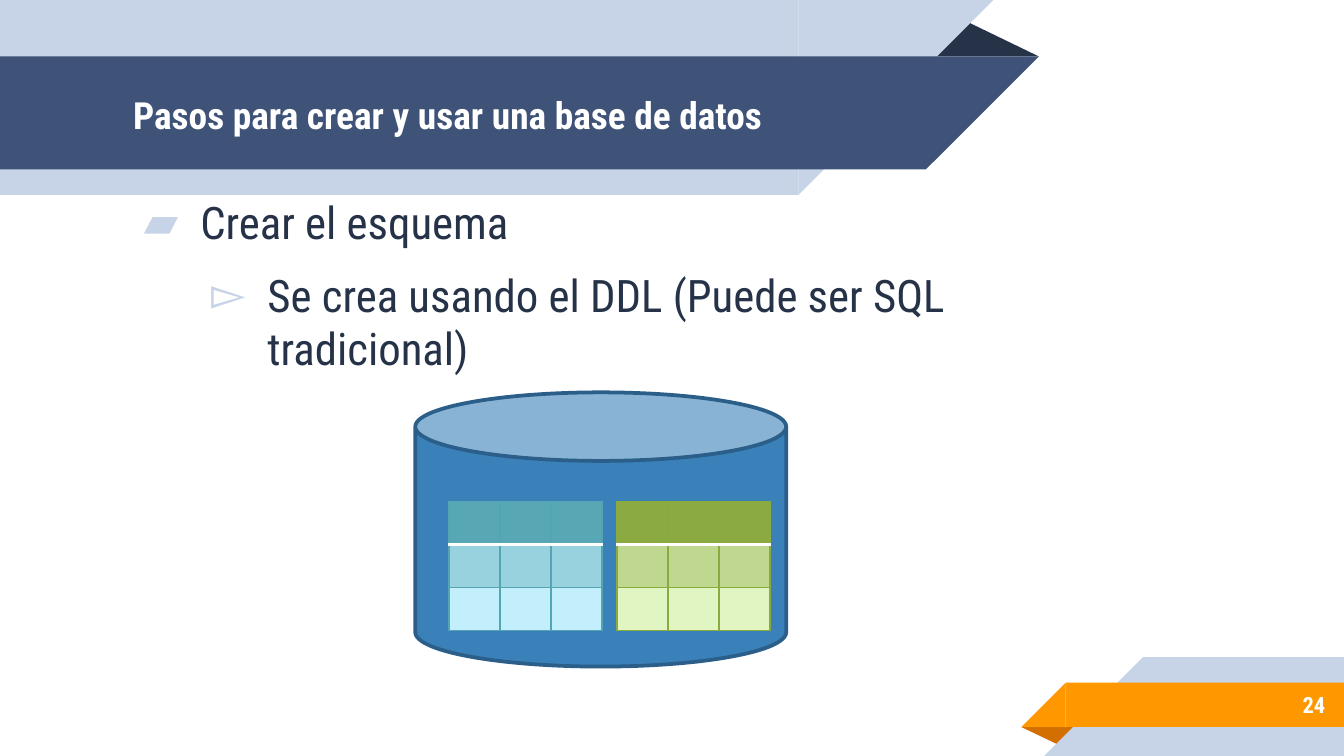
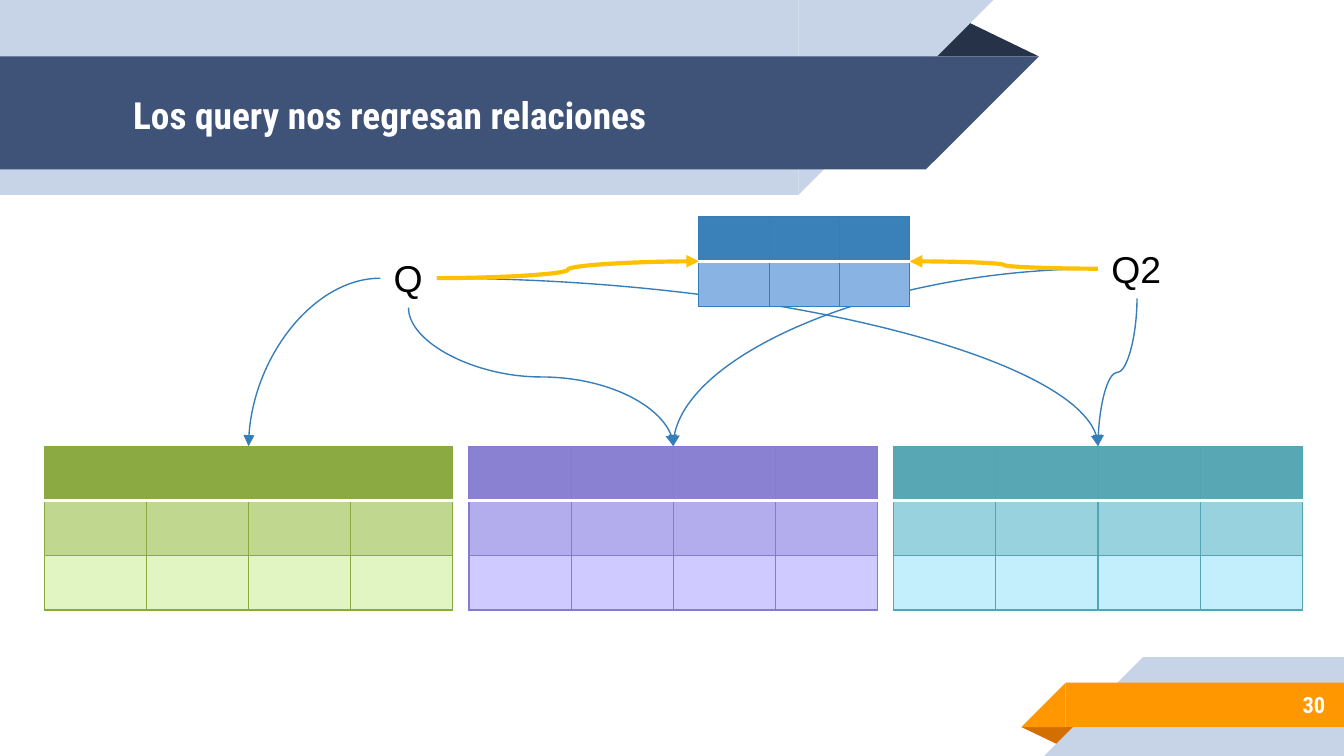
from collections import namedtuple

from lxml import etree
from pptx import Presentation
from pptx import util as u
from pptx.dml.color import RGBColor
from pptx.enum import shapes, text
from pptx.oxml import ns

Box = namedtuple("Box", "x y w h")
Scheme = namedtuple("Scheme", "head edge pale")

COLUMNS, ROWS = 100, 56.25
UNIT = u.Inches(0.1)
SLIDE = Box(0, 0, COLUMNS, ROWS)
HEADER = Box(0, 0, 77.3, 14.5)
FOOTER = Box(76, 48.9, 24, 7.35)

FONT = "Roboto Condensed"
WHITE, BLACK = "FFFFFF", "000000"
LIGHT, NAVY, INK = "C7D3E6", "3F5378", "263248"
ORANGE, RUST = "FF9800", "D26F00"
CURVE_BLUE, GOLD = "367EB9", "FFC000"
GREEN = Scheme("8BAB42", "89AA3E", "E1F5C3")
TEAL = Scheme("57A7B5", "53A5B3", "C3EEFB")
PURPLE = Scheme("8B81D2", "867CCF", "CFCAFF")
BLUE = Scheme("3A81BA", CURVE_BLUE, "BCD4FF")

KIND = shapes.MSO_SHAPE
ALIGN = text.PP_ALIGN
ANCHOR = text.MSO_ANCHOR


def colour(value):
    """Turn a hex string into a colour."""
    return RGBColor.from_string(value)


def blend(front, back, share):
    """Mix two hex colours, with the given share of the front one."""
    pairs = zip(bytes.fromhex(front), bytes.fromhex(back))
    return "".join(f"{round(f * share + b * (1 - share)):02X}" for f, b in pairs)


def inside(box, x, y, w, h):
    """Give a box by its grid offset from another."""
    return Box(box.x + x, box.y + y, w, h)


def emu(*units):
    """Turn grid units into drawing units."""
    return [int(round(unit * UNIT)) for unit in units]


def child(parent, tag, **attributes):
    """Append a drawing element."""
    element = etree.SubElement(parent, ns.qn(tag))
    for name, value in attributes.items():
        element.set(name, str(value))
    return element


def move(shape, box):
    """Put a shape in a box."""
    shape.left, shape.top, shape.width, shape.height = emu(*box)


def write(para, words, size=20, font=FONT, ink=WHITE, bold=False, align=ALIGN.LEFT):
    """Add formatted words to a paragraph."""
    para.alignment = align
    span = para.add_run()
    span.text = words
    span.font.size = u.Pt(size)
    span.font.name = font
    span.font.bold = bold
    span.font.color.rgb = colour(ink)


def set_frame(shape, inset=0.1, top=0.1, anchor=ANCHOR.MIDDLE, wrap=True):
    """Set the insets, anchor and wrapping of a text frame."""
    frame = shape.text_frame
    frame.auto_size = text.MSO_AUTO_SIZE.NONE
    frame.word_wrap = wrap
    frame.vertical_anchor = anchor
    frame.margin_left = frame.margin_right = u.Inches(inset)
    frame.margin_top = frame.margin_bottom = u.Inches(top)
    return frame


def draw(canvas, kind, box, fill, flip=False, turn=0, peak=None, edge=None):
    """Draw a flat shape, mirrored or turned on request."""
    shape = canvas.add_shape(kind, *emu(*box))
    shape.shadow.inherit = False
    shape.fill.solid()
    shape.fill.fore_color.rgb = colour(fill)
    shape.rotation = turn
    if flip:
        shape.element.spPr.find(ns.qn("a:xfrm")).set("flipH", "1")
    if peak is not None:
        shape.adjustments[0] = peak
    if edge:
        shape.line.color.rgb = colour(edge)
        shape.line.width = u.Pt(2)
    else:
        shape.line.fill.background()
    return shape


def backdrop(page):
    """Start a group that lies behind everything on the page."""
    group = page.shapes.add_group_shape()
    page.shapes.element.insert(2, group.element)
    return group.shapes


def ribbon_right(canvas, box, fill):
    """Draw a ribbon from the left whose end slants down to the left."""
    body = box.w - box.h
    draw(canvas, KIND.RECTANGLE, inside(box, 0, 0, body, box.h), fill)
    draw(canvas, KIND.RIGHT_TRIANGLE, inside(box, body, 0, box.h, box.h), fill, True, 180)


def ribbon_left(canvas, box, fill):
    """Draw a ribbon from the right whose start slants down to the left."""
    draw(canvas, KIND.RECTANGLE, inside(box, box.h, 0, box.w - box.h, box.h), fill)
    draw(canvas, KIND.RIGHT_TRIANGLE, inside(box, 0, 0, box.h, box.h), fill, True)


def add_header(page, box, title):
    """Draw the top ribbons and set the title on them."""
    canvas = backdrop(page)
    draw(canvas, KIND.ISOSCELES_TRIANGLE, inside(box, 68.8, 1.4, 8.5, 2.8), INK, peak=0.32)
    ribbon_right(canvas, inside(box, 0, 0, 73.9, 14.5), LIGHT)
    ribbon_right(canvas, inside(box, 0, 4.2, 77.3, 8.4), NAVY)
    move(page.shapes.title, inside(box, 8.9, 4.3, 60.1, 8.4))
    write(set_frame(page.shapes.title).paragraphs[0], title, bold=True)


def add_footer(page, box, number):
    """Draw the bottom ribbons and the page number."""
    canvas = backdrop(page)
    draw(canvas, KIND.ISOSCELES_TRIANGLE, inside(box, 0, 5.2, 4.3, 1.4), RUST, turn=180, peak=0.32)
    ribbon_left(canvas, inside(box, 1.7, 0, 22.3, 7.35), LIGHT)
    ribbon_left(canvas, inside(box, 0, 1.9, 24, 3.3), ORANGE)
    label = page.shapes.add_textbox(*emu(*inside(box, 7.3, 1.8, 16.3, 3.5)))
    write(set_frame(label).paragraphs[0], number, size=12, bold=True, align=ALIGN.RIGHT)


def add_page(deck, layout, title, number):
    """Add a page with its header and footer."""
    page = deck.slides.add_slide(deck.slide_layouts[layout])
    add_header(page, HEADER, title)
    add_footer(page, FOOTER, number)
    return page


def add_list(page, box, items):
    """Fill the body placeholder with (level, bullet, space before, words)."""
    body = page.placeholders[1]
    move(body, box)
    frame = set_frame(body, top=0, anchor=ANCHOR.TOP)
    for index, (level, bullet, space, words) in enumerate(items):
        para = frame.add_paragraph() if index else frame.paragraphs[0]
        para.level = level
        para.space_before = u.Pt(space)
        write(para, words, size=24, ink=INK)
        settings = para._p.get_or_add_pPr()
        settings.set("marL", str(u.Inches(0.5 * (level + 1))))
        settings.set("indent", str(u.Inches(-0.42)))
        child(child(settings, "a:buClr"), "a:srgbClr", val=LIGHT)
        child(settings, "a:buFont", typeface=FONT)
        child(settings, "a:buChar", char=bullet)


def add_border(cell, side, ink, points):
    """Add one border to a cell."""
    line = child(cell._tc.get_or_add_tcPr(), f"a:ln{side}", w=u.Pt(points))
    child(child(line, "a:solidFill"), "a:srgbClr", val=ink)


def add_grid(page, box, rows, columns, scheme):
    """Add an empty table with a strong head row and paler rows below."""
    table = page.shapes.add_table(rows, columns, *emu(*box)).table
    fills = [scheme.head, blend(scheme.head, scheme.pale, 0.4), scheme.pale]
    for column in table.columns:
        column.width = emu(box.w / columns)[0]
    for r, row in enumerate(table.rows):
        row.height = emu(box.h / rows)[0]
        for cell in row.cells:
            cell.margin_top = cell.margin_bottom = 0
            for side in "LRTB":
                under_head = (r, side) in ((0, "B"), (1, "T"))
                add_border(cell, side, *((WHITE, 2) if under_head else (scheme.edge, 0.75)))
            cell.fill.solid()
            cell.fill.fore_color.rgb = colour(fills[r])


def add_curve(page, start, end, ink=CURVE_BLUE, points=0.75, bend=False, down=False):
    """Draw a curved arrow: a quarter bend, an S across, or an S downwards."""
    curve = page.shapes.add_connector(shapes.MSO_CONNECTOR.CURVE, *emu(*start, *end))
    curve.line.color.rgb = colour(ink)
    curve.line.width = u.Pt(points)
    properties = curve.element.spPr
    if bend:
        properties.find(ns.qn("a:prstGeom")).set("prst", "curvedConnector2")
    if down:
        run, drop = end[0] - start[0], end[1] - start[1]
        middle, centre = (start[0] + end[0]) / 2, (start[1] + end[1]) / 2
        move(curve, Box(middle - drop / 2, centre - abs(run) / 2, drop, abs(run)))
        frame = properties.find(ns.qn("a:xfrm"))
        frame.set("rot", str((270 if run > 0 else 90) * 60000))
        frame.set("flipH", str(int(run > 0)))
    child(curve.line._get_or_add_ln(), "a:tailEnd", type="triangle")
    child(properties, "a:effectLst")


def add_query(page, box, words):
    """Add a query label and return its left, bottom and right middles."""
    label = page.shapes.add_textbox(*emu(*box))
    frame = set_frame(label, top=0.05, anchor=ANCHOR.TOP, wrap=False)
    write(frame.paragraphs[0], words, font="Arial", ink=BLACK)
    middle = box.y + box.h / 2
    return (box.x, middle), (box.x + box.w / 2, box.y + box.h), (box.x + box.w, middle)


def add_database(page, box):
    """Draw a database holding two tables."""
    draw(page.shapes, KIND.CAN, box, BLUE.head, edge="2B5F8A")
    for index, scheme in enumerate((TEAL, GREEN)):
        add_grid(page, inside(box, 2.5 + 12.5 * index, 8.1, 11.4, 9.6), 3, 3, scheme)


def add_relations(page, box):
    """Draw two queries, the tables they read and the table they return."""
    width, height, top = 30.4, 12.2, 17.1
    pitch = (box.w - width) / 2
    targets = []
    for index, scheme in enumerate((GREEN, PURPLE, TEAL)):
        place = inside(box, pitch * index, top, width, height)
        add_grid(page, place, 3, 4, scheme)
        targets.append((place.x + width / 2, place.y))
    left, bottom, right = add_query(page, inside(box, 25, 2.4, 4.2, 4.4), "Q")
    left2, bottom2, _ = add_query(page, inside(box, 78.4, 1.7, 5.8, 4.4), "Q2")
    add_curve(page, left, targets[0], bend=True)
    add_curve(page, bottom, targets[1], down=True)
    add_curve(page, right, targets[2], bend=True)
    add_curve(page, left2, targets[1], bend=True)
    add_curve(page, bottom2, targets[2], down=True)
    result = inside(box, 48.7, 0, 15.7, 6.7)
    add_grid(page, result, 2, 3, BLUE)
    middle = result.y + result.h / 2
    add_curve(page, right, (result.x, middle), GOLD, 2.25)
    add_curve(page, left2, (result.x + result.w, middle), GOLD, 2.25)


def main():
    """Build the deck."""
    deck = Presentation()
    deck.slide_width, deck.slide_height = emu(SLIDE.w, SLIDE.h)
    page = add_page(deck, 1, "Pasos para crear y usar una base de datos", "24")
    add_list(page, inside(SLIDE, 8.9, 14.5, 67.1, 17.1), [
        (0, "▰", 0, "Crear el esquema"),
        (1, "▻", 10, "Se crea usando el DDL (Puede ser SQL tradicional)"),
    ])
    add_database(page, inside(SLIDE, 30.9, 29.2, 27.6, 20.4))
    page = add_page(deck, 5, "Los query nos regresan relaciones", "30")
    add_relations(page, inside(SLIDE, 3.3, 16.1, 93.6, 29.3))
    deck.save("out.pptx")


if __name__ == "__main__":
    main()
